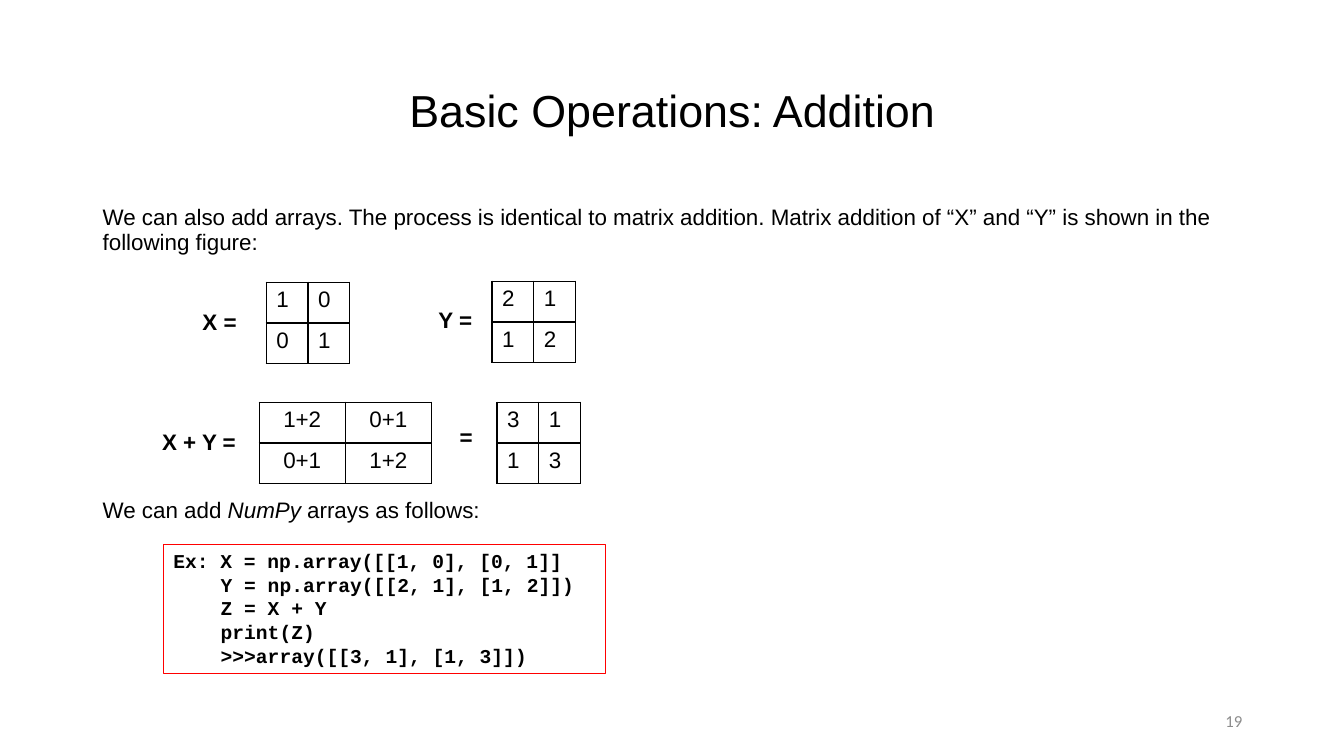
from lxml import etree
from pptx import Presentation
from pptx.dml.color import RGBColor
from pptx.enum.shapes import MSO_SHAPE
from pptx.enum.text import MSO_ANCHOR, PP_ALIGN
from pptx.oxml.ns import qn
from pptx.util import Emu, Pt

BLACK = RGBColor(0x00, 0x00, 0x00)
RED = RGBColor(0xFF, 0x00, 0x00)
GRAY = RGBColor(0x8C, 0x8C, 0x8C)
LEFT, MID, RIGHT = PP_ALIGN.LEFT, PP_ALIGN.CENTER, PP_ALIGN.RIGHT
TOP, CENTER = MSO_ANCHOR.TOP, MSO_ANCHOR.MIDDLE
RECT = MSO_SHAPE.RECTANGLE
SCALE = 9144  # 100 px to the inch
TAB = 47  # four code characters

CODE = [
    ("Ex: X = np.array([[1, 0], [0, 1]]", 0),
    ("Y = np.array([[2, 1], [1, 2]])", TAB),
    ("Z = X + Y", TAB),
    ("print(Z)", TAB),
    (">>>array([[3, 1], [1, 3]])", TAB),
]


def px(n):
    return Emu(n * SCALE)


def place(box):
    return [px(n) for n in box]


def add_run(para, text, size=16, face="Arial", color=BLACK, bold=False, slant=False):
    run = para.add_run()
    run.text = text
    font = run.font
    font.size, font.name = Pt(size), face
    font.bold, font.italic = bold, slant
    font.color.rgb = color


def add_text(slide, box, runs, align=LEFT, anchor=TOP, lead=1.0):
    """Place one paragraph made of (text, style) runs."""
    frame = slide.shapes.add_textbox(*place(box)).text_frame
    frame.word_wrap = True
    frame.vertical_anchor = anchor
    para = frame.paragraphs[0]
    para.alignment, para.line_spacing = align, lead
    for text, style in runs:
        add_run(para, text, **style)


def add_edges(cell):
    props = cell._tc.get_or_add_tcPr()
    for side in ("lnL", "lnR", "lnT", "lnB"):
        edge = etree.SubElement(props, qn("a:" + side), w=str(Pt(1)))
        fill = etree.SubElement(edge, qn("a:solidFill"))
        etree.SubElement(fill, qn("a:srgbClr"), val=str(BLACK))


def add_matrix(slide, box, rows, align=LEFT):
    """Draw a ruled matrix with equal cells."""
    left, top, width, height = place(box)
    table = slide.shapes.add_table(len(rows), len(rows[0]), left, top, width, height).table
    table.first_row = table.horz_banding = False
    for col in table.columns:
        col.width = Emu(width // len(rows[0]))
    for r, row in enumerate(rows):
        table.rows[r].height = Emu(height // len(rows))
        for c, text in enumerate(row):
            cell = table.cell(r, c)
            add_edges(cell)
            cell.fill.background()
            para = cell.text_frame.paragraphs[0]
            para.alignment = align
            add_run(para, text)


def add_sums(slide, box):
    """Place the labels and matrices of the worked sum."""
    x, y = box[:2]
    labels = [
        ("X =", 40, 22, 68), ("Y =", 274, 20, 68),
        ("X + Y =", 0, 141, 107), ("=", 295, 136, 39),
    ]
    grids = [
        (113, 1, 83, ["10", "01"], LEFT),
        (337, 0, 83, ["21", "12"], LEFT),
        (106, 120, 171, [["1+2", "0+1"], ["0+1", "1+2"]], MID),
        (342, 120, 83, ["31", "13"], LEFT),
    ]
    for left, top, width, rows, align in grids:
        add_matrix(slide, (x + left, y + top, width, 81), rows, align)
    for text, left, top, width in labels:
        add_text(slide, (x + left, y + top, width, 37), [(text, {"bold": True})])


def add_code(slide, box):
    """Draw the framed code sample."""
    shape = slide.shapes.add_shape(RECT, *place(box))
    shape.shadow.inherit = False
    shape.fill.background()
    shape.line.color.rgb = RED
    shape.line.width = Pt(0.75)
    frame = shape.text_frame
    frame.word_wrap = True
    frame.vertical_anchor = TOP
    for i, (text, indent) in enumerate(CODE):
        para = frame.add_paragraph() if i else frame.paragraphs[0]
        para.alignment = LEFT
        para._p.get_or_add_pPr().set("marL", str(px(indent)))
        add_run(para, text, size=14, face="Courier New", bold=True)


def main():
    deck = Presentation()
    deck.slide_width, deck.slide_height = px(1333), px(750)
    slide = deck.slides.add_slide(deck.slide_layouts[6])

    # Title and introduction
    add_text(slide, (92, 40, 1150, 145),
             [("Basic Operations: Addition", {"size": 32})], MID, CENTER, 0.9)
    add_text(slide, (92, 200, 1150, 60),
             [("We can also add arrays. The process is identical to matrix addition. "
               "Matrix addition of “X” and “Y” is shown in the following figure:", {})],
             lead=0.9)

    # Worked sum
    add_sums(slide, (151, 279, 425, 201))

    # Code sample
    add_text(slide, (92, 490, 1150, 35),
             [("We can add ", {}), ("NumPy", {"slant": True}),
              (" arrays as follows:", {})], lead=0.9)
    add_code(slide, (162, 540, 439, 128))

    # Page number
    add_text(slide, (942, 695, 300, 40),
             [("19", {"size": 12, "face": "Calibri", "color": GRAY})], RIGHT, CENTER)

    deck.save("out.pptx")


if __name__ == "__main__":
    main()
